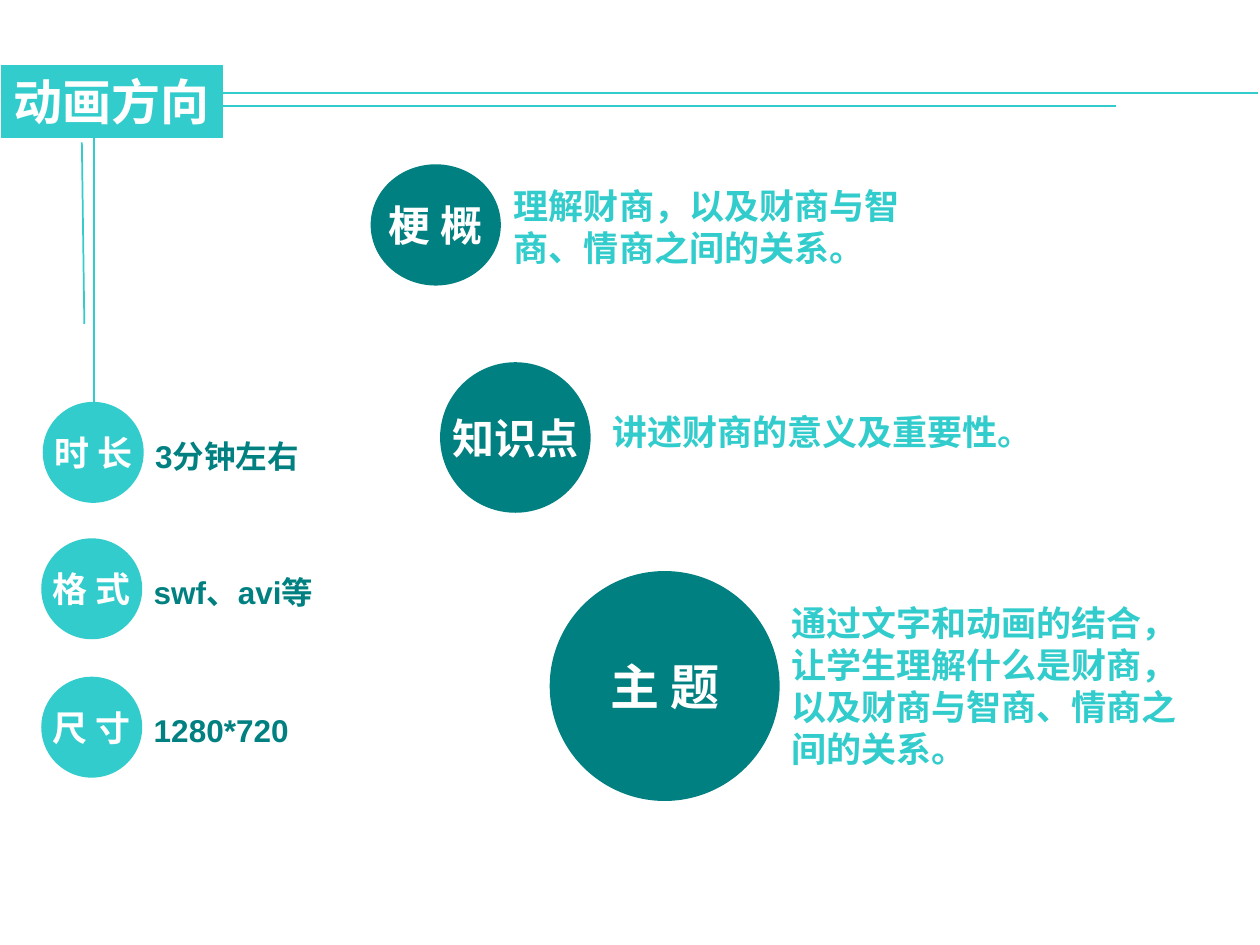
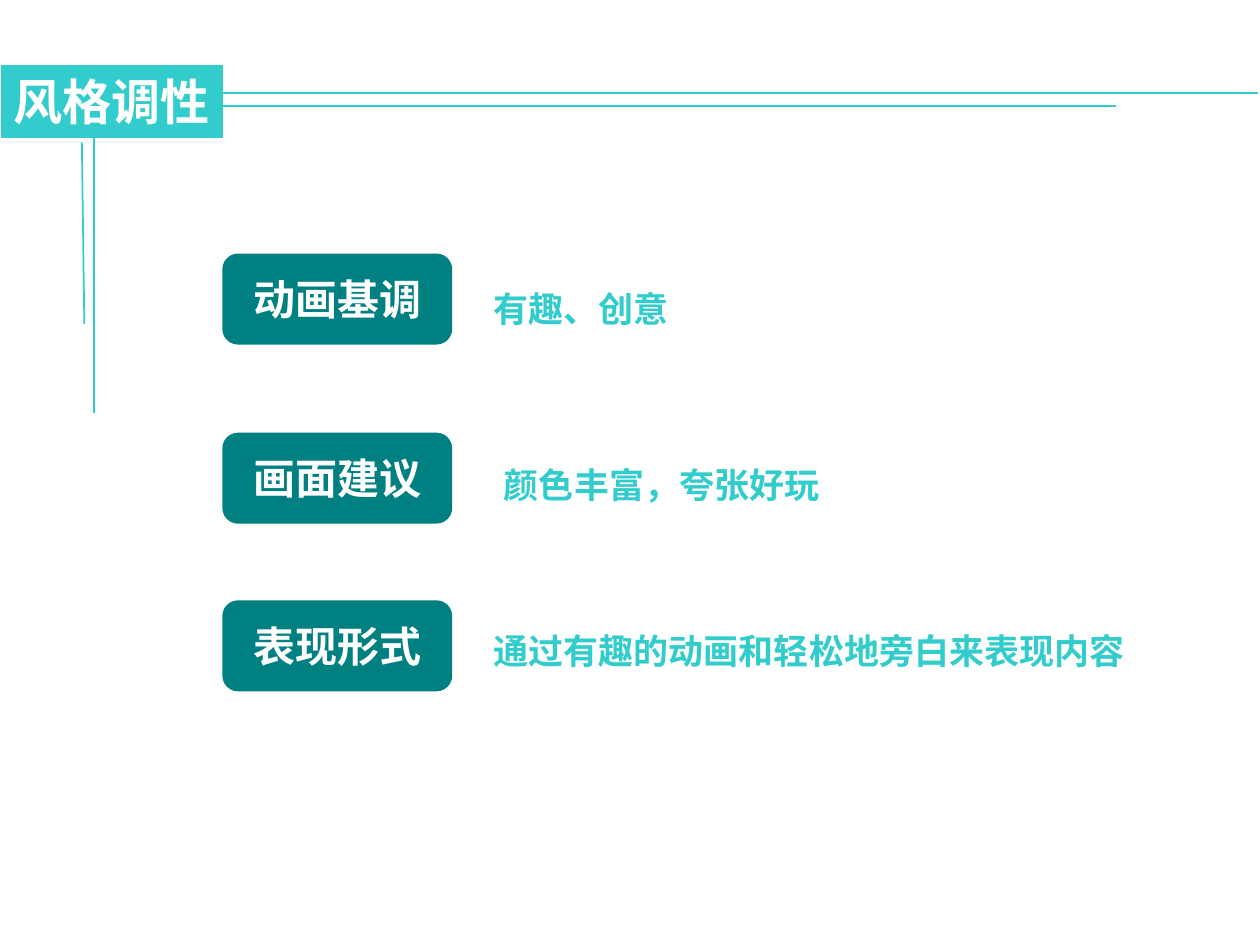
from lxml import etree
from pptx import Presentation
from pptx.dml.color import RGBColor
from pptx.enum.lang import MSO_LANGUAGE_ID as Lang
from pptx.enum.shapes import MSO_CONNECTOR as Connector, MSO_SHAPE as Shape
from pptx.enum.text import MSO_ANCHOR as Anchor, MSO_AUTO_SIZE as AutoSize, PP_ALIGN as Align
from pptx.oxml.ns import qn
from pptx.util import Cm, Pt

COLORS = {"aqua": "33CCCC", "teal": "008080", "white": "FFFFFF"}
FONT = "Arial"

# Shared header: title band and the ruled lines (x1, y1, x2, y2), in cm
TITLE_BAND = (0.03, 1.32, 4.45, 1.45)
HEADER_LINES = [
    (1.9, 2.72, 1.9, 8.33),
    (1.65, 2.87, 1.7, 6.53),
    (4.5, 2.13, 22.5, 2.13),
    (4.45, 1.88, 25.35, 1.88),
]

# Direction slide: label, size, circle box, description, description box
DIRECTION = "动画方向"
TOPICS = [
    ("梗 概", 24, (7.49, 3.33, 2.59, 2.41),
     "理解财商，以及财商与智商、情商之间的关系。", (10.11, 3.58, 8.61, 1.96)),
    ("知识点", 24, (8.89, 7.32, 3, 3),
     "讲述财商的意义及重要性。", (12.09, 8.15, 8.81, 1.12)),
    ("主 题", 28, (11.1, 11.53, 4.6, 4.6),
     "通过文字和动画的结合，让学生理解什么是财商，以及财商与智商、情商之间的关系。",
     (15.7, 11.99, 8.61, 3.66)),
]
# Label, value, circle left, circle top, value height
FORMATS = [
    ("时 长", "3分钟左右", 0.88, 8.12, 1.17),
    ("格 式", "swf、avi等", 0.85, 10.87, 2.08),
    ("尺 寸", "1280*720", 0.85, 13.66, 1.17),
]
FORMAT_CIRCLE = 2

# Style slide: label, label top, description, description box, line spacing
STYLE = "风格调性"
STYLES = [
    ("动画基调", 5.13, "有趣、创意", (9.7, 5.49, 11.2, 1.27), 1.2),
    ("画面建议", 8.74, "颜色丰富，夸张好玩", (9.91, 9.04, 11.2, 1.27), 1.2),
    ("表现形式", 12.12, "通过有趣的动画和轻松地旁白来表现内容", (9.7, 12.57, 13.61, 1.12), 1),
]
STYLE_LEFT, STYLE_WIDTH, STYLE_HEIGHT = 4.5, 4.6, 1.8


def rgb(color):
    return RGBColor.from_string(COLORS[color])


def lengths(box):
    return [Cm(value) for value in box]


def paint(shape, color, width):
    shape.fill.solid()
    shape.fill.fore_color.rgb = rgb(color)
    shape.line.color.rgb = rgb(color)
    shape.line.width = Pt(width)


def write(frame, text, size, color, align=Align.LEFT, anchor=Anchor.TOP, wrap=True, spacing=1):
    frame.word_wrap = wrap
    frame.auto_size = AutoSize.NONE
    frame.vertical_anchor = anchor
    frame.margin_left = frame.margin_right = Cm(0.25)
    frame.margin_top = frame.margin_bottom = Cm(0.13)
    line = frame.paragraphs[0]
    line.alignment = align
    line.line_spacing = spacing
    run = line.add_run()
    run.text = text
    run.font.name = FONT
    run.font.size = Pt(size)
    run.font.bold = True
    run.font.color.rgb = rgb(color)
    run.font.language_id = Lang.SIMPLIFIED_CHINESE


def add_label(slide, kind, box, text, size, color):
    label = slide.shapes.add_shape(kind, *lengths(box))
    label.shadow.inherit = False
    paint(label, color, 1)
    write(label.text_frame, text, size, "white", Align.CENTER, Anchor.MIDDLE, wrap=False)


def add_description(slide, box, text, size, color, spacing=1):
    description = slide.shapes.add_textbox(*lengths(box))
    write(description.text_frame, text, size, color, spacing=spacing)


def add_titled_slide(deck, heading):
    slide = deck.slides.add_slide(deck.slide_layouts[5])
    title = slide.shapes.title
    title.left, title.top, title.width, title.height = lengths(TITLE_BAND)
    paint(title, "aqua", 0.75)
    write(title.text_frame, heading, 28, "white", wrap=False)
    for ends in HEADER_LINES:
        rule = slide.shapes.add_connector(Connector.STRAIGHT, *lengths(ends))
        rule.line.color.rgb = rgb("aqua")
        rule.line.width = Pt(1)
        etree.SubElement(rule._element.spPr, qn("a:effectLst"))
    return slide


def build_direction(deck):
    slide = add_titled_slide(deck, DIRECTION)
    for topic, size, circle, description, box in TOPICS:
        add_label(slide, Shape.OVAL, circle, topic, size, "teal")
        add_description(slide, box, description, 20, "aqua")
    for name, value, left, top, height in FORMATS:
        add_label(slide, Shape.OVAL, (left, top, FORMAT_CIRCLE, FORMAT_CIRCLE), name, 20, "aqua")
        value_box = (left + FORMAT_CIRCLE, top + 0.4, 3.8, height)
        add_description(slide, value_box, value, 18, "teal", 1.2)


def build_style(deck):
    slide = add_titled_slide(deck, STYLE)
    for aspect, top, description, box, spacing in STYLES:
        label_box = (STYLE_LEFT, top, STYLE_WIDTH, STYLE_HEIGHT)
        add_label(slide, Shape.ROUNDED_RECTANGLE, label_box, aspect, 24, "teal")
        add_description(slide, box, description, 20, "aqua", spacing)


def main():
    deck = Presentation()
    deck.slide_width, deck.slide_height = Cm(25.4), Cm(19.05)
    build_direction(deck)
    build_style(deck)
    deck.save("out.pptx")


if __name__ == "__main__":
    main()
